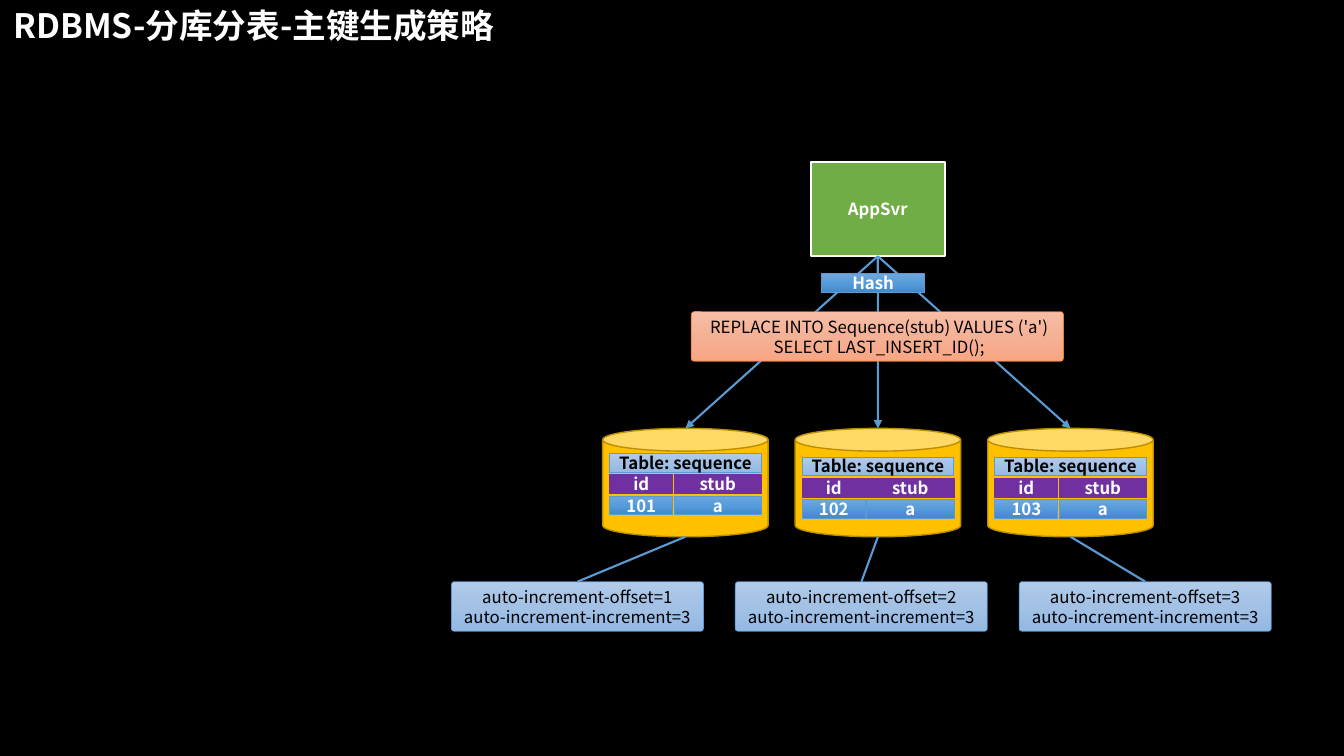
import copy

import pptx
import pptx.dml.color
import pptx.enum.shapes
import pptx.enum.text
import pptx.oxml
import pptx.oxml.ns
import pptx.util

SHAPES = pptx.enum.shapes.MSO_SHAPE
FONT = "Noto Sans CJK SC"
CELL = pptx.util.Inches(1 / 12)  # the slide is a grid of 160 columns by 90 rows
COLORS = {
    "background": "000000", "white": "FFFFFF", "black": "000000",
    "server": "70AD47", "database": "FFC000", "database edge": "BD8E00",
    "header": "7030A0", "blue": "5B9BD5", "orange": "ED7D31",
}
GRADIENTS = {
    "pale blue": ("B1CBE9", "A3C1E5", "93B9E4"),
    "strong blue": ("71A6DB", "559BDB", "448ACA"),
    "salmon": ("F7BDA5", "F5B196", "F8A582"),
}
SERVER = (96.5, 19.3, 16, 11.2)
SERVER_CENTER = 104.5
DATABASE_LEFT, DATABASE_PITCH = 71.75, 22.92
DATABASE_TOP, DATABASE_WIDTH, DATABASE_HEIGHT = 51, 19.7, 12.9
SETTING_LEFT, SETTING_PITCH = 53.75, 33.8
SETTING_TOP, SETTING_WIDTH, BOX_HEIGHT = 69.25, 30, 5.9
TABLE_ROW_PITCH, TABLE_ROW_HEIGHT = 2.52, 2.25


def grid(*cells):
    """Convert grid columns or rows to slide lengths."""
    return [round(cell * CELL) for cell in cells]


def rgb(name):
    """Look up a named colour."""
    return pptx.dml.color.RGBColor.from_string(COLORS[name])


def write(shape, lines, color, size=12, bold=False, align="CENTER"):
    """Fill a shape with one paragraph per line."""
    frame = shape.text_frame
    frame.word_wrap = True
    for number, line in enumerate(lines):
        paragraph = frame.paragraphs[0] if number == 0 else frame.add_paragraph()
        paragraph.alignment = getattr(pptx.enum.text.PP_ALIGN, align)
        run = paragraph.add_run()
        run.text = line
        run.font.name, run.font.size, run.font.bold = FONT, pptx.util.Pt(size), bold
        run.font.color.rgb = rgb(color)
        east_asian = pptx.oxml.parse_xml(
            f'<a:ea {pptx.oxml.ns.nsdecls("a")} typeface="{FONT}"/>')
        run.font._element.find(pptx.oxml.ns.qn("a:latin")).addnext(east_asian)


def paint(fill, name):
    """Apply a plain colour or a three-stop downward gradient."""
    if name in COLORS:
        fill.solid()
        fill.fore_color.rgb = rgb(name)
        return
    fill.gradient()
    fill.gradient_angle = 270
    last = fill._xPr.find(".//" + pptx.oxml.ns.qn("a:gs"))
    last.addnext(copy.deepcopy(last))
    for stop, color, position in zip(fill.gradient_stops, GRADIENTS[name], (0, 0.5, 1)):
        stop.color.rgb = pptx.dml.color.RGBColor.from_string(color)
        stop.position = position


def add_box(slide, kind, place, fill, edge, width=0.5, lines=(), color="white",
            bold=False, rounding=None):
    """Add a filled preset shape with centred text."""
    shape = slide.shapes.add_shape(kind, *grid(*place))
    shape.shadow.inherit = False
    if rounding is not None:
        shape.adjustments[0] = rounding
    paint(shape.fill, fill)
    shape.line.color.rgb = rgb(edge)
    shape.line.width = pptx.util.Pt(width)
    frame = shape.text_frame
    frame.margin_left = frame.margin_right = frame.margin_top = frame.margin_bottom = 0
    frame.vertical_anchor = pptx.enum.text.MSO_ANCHOR.MIDDLE
    write(shape, lines, color, bold=bold)


def add_note(slide, place, fill, edge, lines):
    """Add a slightly rounded box with black text."""
    add_box(slide, SHAPES.ROUNDED_RECTANGLE, place, fill, edge, lines=lines,
            color="black", rounding=0.06)


def add_line(slide, start, end, arrow=False):
    """Add a straight blue connector, with an arrowhead on request."""
    connector = slide.shapes.add_connector(
        pptx.enum.shapes.MSO_CONNECTOR.STRAIGHT, *grid(*start, *end))
    connector.line.color.rgb = rgb("blue")
    connector.line.width = pptx.util.Pt(1.5)
    namespace = pptx.oxml.ns.nsdecls("a")
    if arrow:
        connector.line._get_or_add_ln().append(
            pptx.oxml.parse_xml(f'<a:tailEnd {namespace} type="triangle"/>'))
    connector._element.spPr.append(pptx.oxml.parse_xml(f"<a:effectLst {namespace}/>"))


def add_sequence_table(slide, left, top, identifier):
    """Add the small sequence table drawn on a database."""
    add_box(slide, SHAPES.RECTANGLE, (left, top, 18, 2.2), "pale blue", "blue",
            lines=["Table: sequence"], color="black", bold=True)
    rows = [("header", "header", ("id", "stub")),
            ("strong blue", "blue", (identifier, "a"))]
    for row, (fill, edge, values) in enumerate(rows, start=1):
        for offset, width, value in zip((0, 7.65), (7.5, 10.4), values):
            place = (left + offset, top + row * TABLE_ROW_PITCH, width, TABLE_ROW_HEIGHT)
            add_box(slide, SHAPES.RECTANGLE, place, fill, edge, lines=[value], bold=True)


def main():
    """Build and save the slide."""
    presentation = pptx.Presentation()
    presentation.slide_width, presentation.slide_height = grid(160, 90)
    slide = presentation.slides.add_slide(presentation.slide_layouts[6])
    paint(slide.background.fill, "background")

    title = slide.shapes.add_textbox(*grid(0.4, 0, 97.4, 6))
    write(title, ["RDBMS-分库分表-主键生成策略"], "white", size=24, bold=True, align="LEFT")
    add_box(slide, SHAPES.RECTANGLE, SERVER, "server", "white", width=1.5,
            lines=["AppSvr"], bold=True)

    for number in range(3):
        left = DATABASE_LEFT + number * DATABASE_PITCH
        center = left + DATABASE_WIDTH / 2
        bottom = DATABASE_TOP + DATABASE_HEIGHT
        setting_left = SETTING_LEFT + number * SETTING_PITCH
        add_box(slide, SHAPES.CAN, (left, DATABASE_TOP, DATABASE_WIDTH, DATABASE_HEIGHT),
                "database", "database edge", width=1, rounding=0.21)
        add_line(slide, (SERVER_CENTER, SERVER[1] + SERVER[3]), (center, DATABASE_TOP),
                 arrow=True)
        add_note(slide, (setting_left, SETTING_TOP, SETTING_WIDTH, BOX_HEIGHT),
                 "pale blue", "blue",
                 [f"auto-increment-offset={number + 1}", "auto-increment-increment=3"])
        add_line(slide, (center, bottom), (setting_left + SETTING_WIDTH / 2, SETTING_TOP))
        table_top = 54 if number == 0 else 54.4
        add_sequence_table(slide, left + 0.85, table_top, str(101 + number))

    add_note(slide, (82.3, 37.1, 44.3, BOX_HEIGHT), "salmon", "orange",
             [" REPLACE INTO Sequence(stub) VALUES ('a')", " SELECT LAST_INSERT_ID();"])
    add_box(slide, SHAPES.RECTANGLE, (97.8, 32.6, 12.3, 2.25), "strong blue", "blue",
            lines=["Hash"], bold=True)
    presentation.save("out.pptx")


if __name__ == "__main__":
    main()
